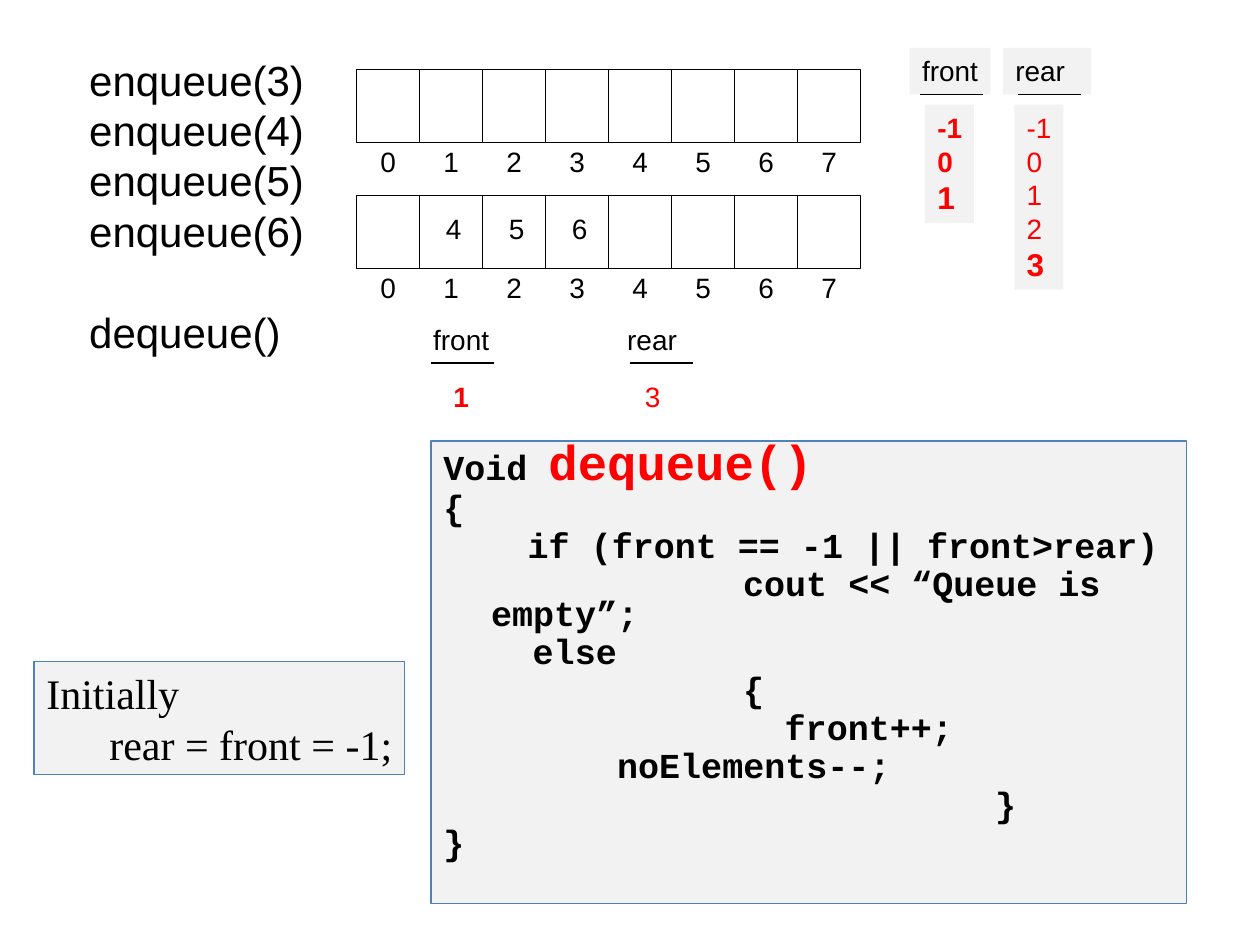
from lxml.etree import SubElement
from pptx import Presentation
from pptx.dml.color import RGBColor
from pptx.enum.shapes import MSO_CONNECTOR, MSO_SHAPE
from pptx.enum.text import MSO_ANCHOR, MSO_AUTO_SIZE, PP_ALIGN
from pptx.oxml.ns import qn
from pptx.util import Inches, Pt

BLACK = RGBColor(0, 0, 0)
WHITE = RGBColor(255, 255, 255)
RED = RGBColor(255, 0, 0)
GREY = RGBColor(0xF2, 0xF2, 0xF2)
BLUE = RGBColor(0x4F, 0x81, 0xBD)

# Content
OPERATIONS = ["enqueue(3)", "enqueue(4)", "enqueue(5)", "enqueue(6)", "dequeue()"]
CELLS = 8
QUEUES = [(0.55, {}), (1.55, {1: "4", 2: "5", 3: "6"})]  # top, values by index
# label, left, top, width, fill, wraps, underline left
POINTER_LABELS = [
    ("front", 7.22, 0.38, 0.64, GREY, False, 7.3),
    ("rear", 7.96, 0.38, 0.7, GREY, True, 8.08),
    ("front", 3.34, 2.51, 0.64, None, False, 3.42),
    ("rear", 4.88, 2.51, 0.7, None, True, 5.0),
]
# left, top, width, height, fill, (text, size, bold) for each line
POINTER_VALUES = [
    (7.34, 0.83, 0.39, 0.94, GREY,
     [("-1", 16, True), ("0", 16, True), ("1", 18, True)]),
    (8.05, 0.83, 0.39, 1.47, GREY,
     [("-1", 16, False), ("0", 16, False), ("1", 16, False),
      ("2", 16, False), ("3", 18, True)]),
    (3.5, 2.96, 0.32, 0.37, None, [("1", 16, True)]),
    (5.02, 2.96, 0.32, 0.37, None, [("3", 16, False)]),
]
INITIAL_STATE = [("Initially", 0), ("rear = front = -1;", 0.5)]  # text, indent
# start of the line in inches, then its runs
CODE = [
    (0, ["Void ", "dequeue()"]),
    (0, ["{"]),
    (0.67, ["if (front == -1 || front>rear)"]),
    (2.38, ["cout << “Queue is empty”;"]),
    (0.71, ["else"]),
    (2.38, ["{"]),
    (2.71, ["front++;"]),
    (1.38, ["noElements--;"]),
    (4.38, ["}"]),
    (0, ["}"]),
]

# Layout
QUEUE_LEFT, CELL_W, CELL_H = 2.83, 0.5, 0.58
DIGIT_W, LABEL_H, UNDERLINE_W = 0.32, 0.37, 0.5
HANGING = 0.38

prs = Presentation()
prs.slide_width, prs.slide_height = Inches(10), Inches(7.5)
slide = prs.slides.add_slide(prs.slide_layouts[6])
shapes = slide.shapes


def add_box(left, top, width, height, fill=None, border=None, wrap=False, grow=True):
    place = [Inches(v) for v in (left, top, width, height)]
    if fill is None:
        box = shapes.add_textbox(*place)
    else:
        box = shapes.add_shape(MSO_SHAPE.RECTANGLE, *place)
        box.shadow.inherit = False
        box.fill.solid()
        box.fill.fore_color.rgb = fill
        if border is None:
            box.line.fill.background()
        else:
            box.line.color.rgb = border
            box.line.width = Pt(0.75)
    frame = box.text_frame
    frame.word_wrap = wrap
    if not wrap:
        frame.margin_right = 0  # slack, so that tight boxes keep each line whole
    frame.vertical_anchor = MSO_ANCHOR.TOP
    frame.auto_size = MSO_AUTO_SIZE.SHAPE_TO_FIT_TEXT if grow else MSO_AUTO_SIZE.NONE
    return box


def add_line(x1, y1, x2, y2):
    line = shapes.add_connector(
        MSO_CONNECTOR.STRAIGHT, *[Inches(v) for v in (x1, y1, x2, y2)])
    line.line.color.rgb = BLACK
    line.line.width = Pt(0.75)
    SubElement(line.element.spPr, qn("a:effectLst"))
    return line


def next_paragraph(box):
    frame = box.text_frame
    first = frame.paragraphs[0]
    paragraph = frame.add_paragraph() if first.runs else first
    paragraph.alignment = PP_ALIGN.LEFT
    return paragraph


def add_run(paragraph, text, size=16, color=BLACK, bold=False, font="Arial"):
    run = paragraph.add_run()
    run.text = text
    run.font.size, run.font.bold, run.font.name = Pt(size), bold, font
    run.font.color.rgb = color


def add_digit(text, left, top):
    add_run(next_paragraph(add_box(left, top, DIGIT_W, LABEL_H)), text)


# Code of dequeue
code_box = add_box(3.42, 3.5, 6, 3.67, GREY, BLUE, wrap=True, grow=False)
for number, (start, pieces) in enumerate(CODE):
    paragraph = next_paragraph(code_box)
    paragraph.line_spacing = 0.7
    paragraph.space_before = Pt(5 if number else 7)
    properties = paragraph._p.get_or_add_pPr()
    properties.set("marL", str(Inches(HANGING)))
    properties.set("indent", str(Inches(start - HANGING)))
    for piece in pieces:
        is_title = piece == "dequeue()"
        add_run(paragraph, piece, 28 if is_title else 20,
                RED if is_title else BLACK, True, "Courier New")

# Queues with dividers, indices and values
for top, values in QUEUES:
    queue = add_box(QUEUE_LEFT, top, CELLS * CELL_W, CELL_H, WHITE, BLACK, grow=False)
    for index in range(CELLS):
        cell_left = QUEUE_LEFT + index * CELL_W
        if index:
            divider = add_line(cell_left, top, cell_left, top + CELL_H)
            if index == CELLS // 2:
                divider.begin_connect(queue, 0)
                divider.end_connect(queue, 2)
        add_digit(str(index), cell_left + 0.09, top + 0.55)
        if index in values:
            add_digit(values[index], cell_left + 0.11, top + 0.08)

# Front and rear labels with underlines
for label, left, top, width, fill, wrap, underline in POINTER_LABELS:
    label_box = add_box(left, top, width, LABEL_H, fill, wrap=wrap)
    add_run(next_paragraph(label_box), label)
    add_line(underline, top + LABEL_H, underline + UNDERLINE_W, top + LABEL_H)

# Front and rear values
for left, top, width, height, fill, steps in POINTER_VALUES:
    values_box = add_box(left, top, width, height, fill)
    for text, size, bold in steps:
        add_run(next_paragraph(values_box), text, size, RED, bold)

# Operations, with one line of space before dequeue
operations_box = add_box(0.61, 0.38, 1.9, 2.5)
for operation in OPERATIONS:
    paragraph = next_paragraph(operations_box)
    if operation == "dequeue()":
        paragraph.space_before = Pt(28.8)
    add_run(paragraph, operation, 24)

# Initial state
initial_box = add_box(0.27, 5.25, 2.94, 0.9, GREY, BLUE)
for text, indent in INITIAL_STATE:
    paragraph = next_paragraph(initial_box)
    paragraph._p.get_or_add_pPr().set("marL", str(Inches(indent)))
    add_run(paragraph, text, 24, font="Times New Roman")

prs.save("out.pptx")
